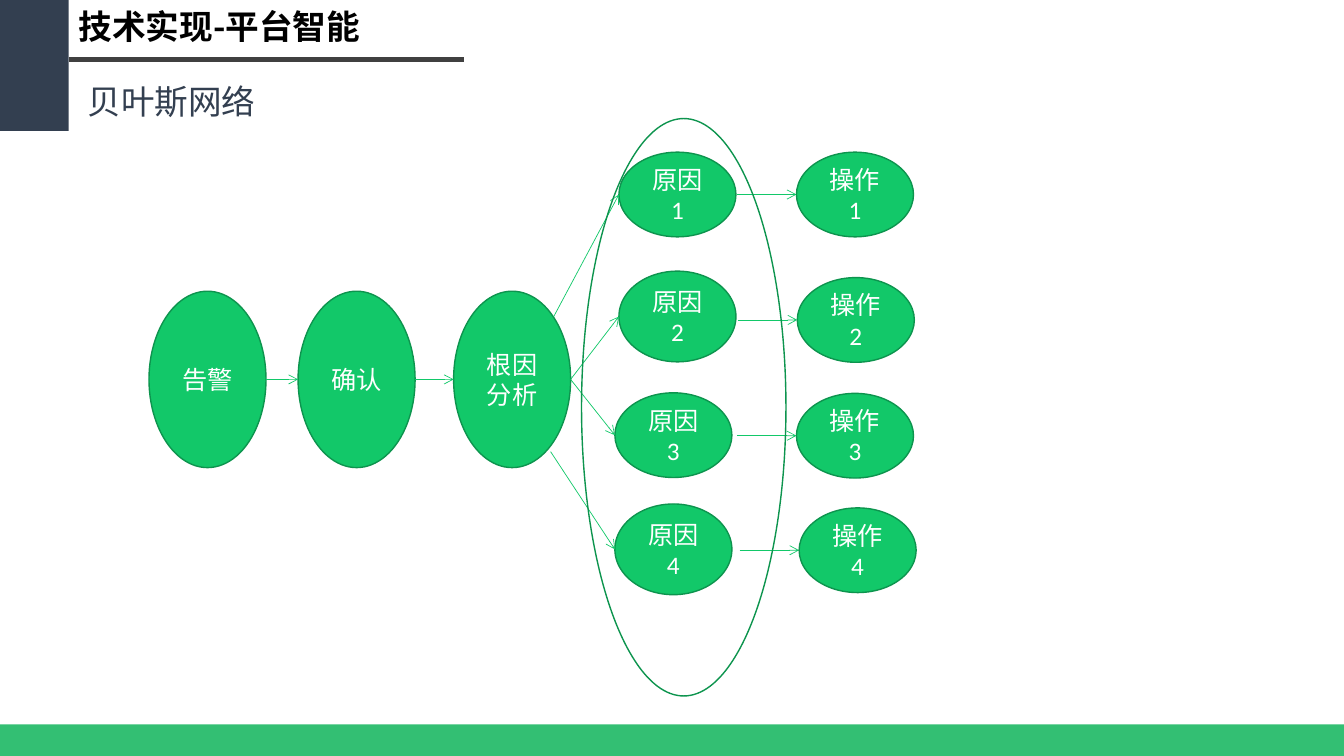
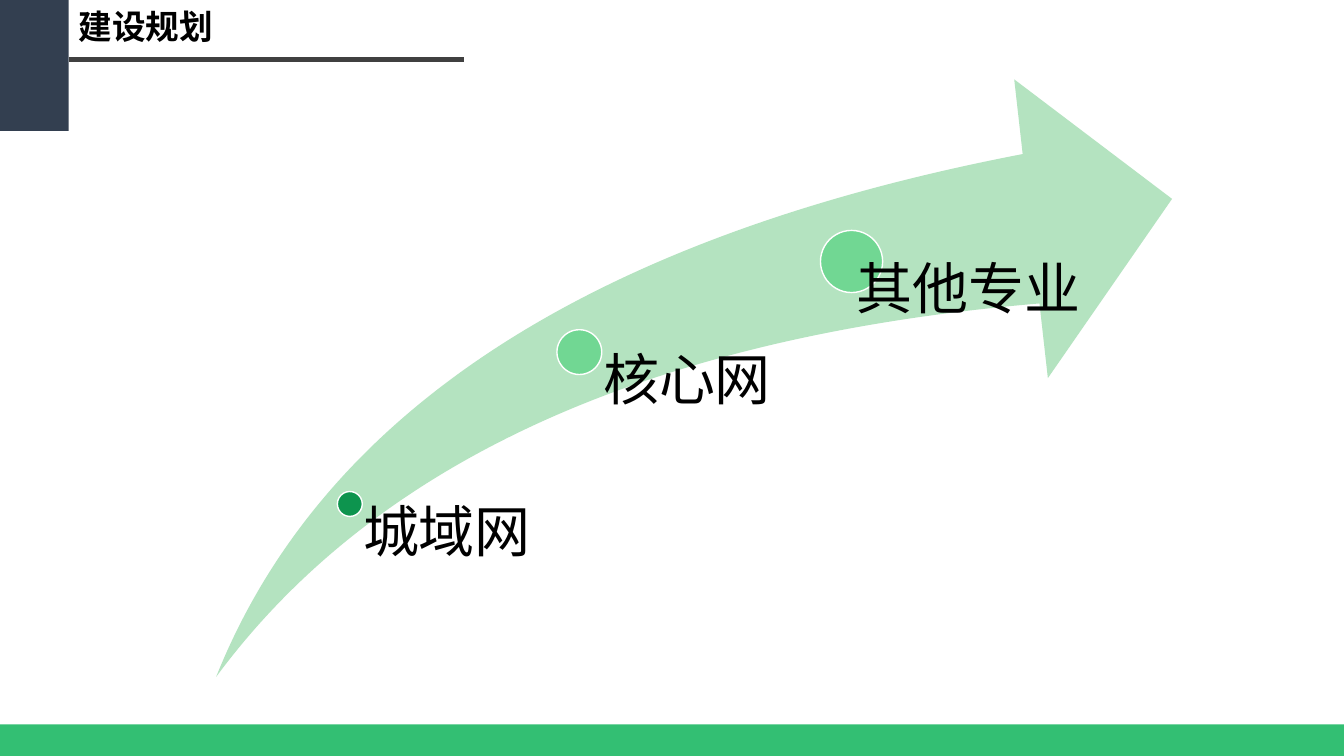
import pptx
import pptx.dml.color
import pptx.enum.shapes
import pptx.enum.text
import pptx.oxml.ns
import pptx.util
from lxml import etree

Pt = pptx.util.Pt
qn = pptx.oxml.ns.qn
SHAPE = pptx.enum.shapes.MSO_SHAPE
ALIGN = pptx.enum.text.PP_ALIGN
ANCHOR = pptx.enum.text.MSO_ANCHOR
AUTO_SIZE = pptx.enum.text.MSO_AUTO_SIZE

PAGE_WIDTH, PAGE_HEIGHT = 960, 540
TITLE_ONLY = 5
COLOURS = {
    "black": "000000", "white": "FFFFFF", "navy": "333F50", "rule": "404040",
    "footer": "00B050", "node": "12C869", "outline": "0D944E",
    "swoosh": "B4E3C0", "dot": "71D793",
}
BODY_FONT = "Calibri"
CHINESE_FONT = "Noto Sans CJK SC"


def colour(name):
    return pptx.dml.color.RGBColor.from_string(COLOURS[name])


class Painter:
    """Holds the deck, its style and the page being drawn."""

    def __init__(self):
        self.deck = pptx.Presentation()
        self.deck.slide_width = Pt(PAGE_WIDTH)
        self.deck.slide_height = Pt(PAGE_HEIGHT)
        self.page = None

    def start_page(self, title, title_width):
        self.page = self.deck.slides.add_slide(self.deck.slide_layouts[TITLE_ONLY])
        self.shape(SHAPE.RECTANGLE, 0, 0, 49, 93.6, fill="navy")
        self.line(49, 42.5, 331.2, 42.5, "rule", 3)
        band = self.shape(SHAPE.RECTANGLE, 0, 517.5, PAGE_WIDTH, 22.5, fill="footer")
        tint = band._element.spPr.find(qn("a:solidFill"))[0]
        etree.SubElement(tint, qn("a:alpha")).set("val", "80000")

        box = self.page.shapes.title
        box.left, box.top, box.width, box.height = map(Pt, (49, 0.7, title_width, 36))
        self.set_text(box, title, 24, "black", font=CHINESE_FONT, bold=True)
        box.text_frame.auto_size = AUTO_SIZE.NONE

    def set_text(self, box, text, size, ink, font=BODY_FONT, bold=False,
                 align=ALIGN.LEFT, anchor=ANCHOR.TOP):
        frame = box.text_frame
        frame.text = text
        frame.word_wrap = True
        frame.vertical_anchor = anchor
        para = frame.paragraphs[0]
        para.alignment = align
        for span in para.runs:
            span.font.size = Pt(size)
            span.font.bold = bold
            span.font.color.rgb = colour(ink)
            span.font.name = font
            east_asian = etree.SubElement(span._r.get_or_add_rPr(), qn("a:ea"))
            east_asian.set("typeface", CHINESE_FONT)

    def shape(self, kind, left, top, width, height, fill=None, outline=None):
        shape = self.page.shapes.add_shape(kind, *map(Pt, (left, top, width, height)))
        shape.shadow.inherit = False
        if fill:
            shape.fill.solid()
            shape.fill.fore_color.rgb = colour(fill)
        else:
            shape.fill.background()
        if outline:
            shape.line.color.rgb = colour(outline)
            shape.line.width = Pt(1)
        else:
            shape.line.fill.background()
        return shape

    def node(self, text, left, top, width, height):
        oval = self.shape(SHAPE.OVAL, left, top, width, height, "node", "outline")
        self.set_text(oval, text, 18, "white", align=ALIGN.CENTER, anchor=ANCHOR.MIDDLE)

    def text(self, text, left, top, width, height, size, ink):
        box = self.page.shapes.add_textbox(*map(Pt, (left, top, width, height)))
        self.set_text(box, text, size, ink)
        return box

    def line(self, x1, y1, x2, y2, ink, weight):
        straight = pptx.enum.shapes.MSO_CONNECTOR.STRAIGHT
        line = self.page.shapes.add_connector(straight, *map(Pt, (x1, y1, x2, y2)))
        line.line.color.rgb = colour(ink)
        line.line.width = Pt(weight)
        etree.SubElement(line._element.spPr, qn("a:effectLst"))
        return line

    def arrow(self, x1, y1, x2, y2):
        line = self.line(x1, y1, x2, y2, "node", 0.5)
        stroke = line._element.spPr.find(qn("a:ln"))
        etree.SubElement(stroke, qn("a:tailEnd")).set("type", "arrow")


def draw_network(painter):
    painter.start_page("技术实现-平台智能", 295)
    painter.text("贝叶斯网络", 55.4, 54, 310, 36, 24, "navy")

    node_width, step_top, step_height = 83.6, 208, 126
    step_middle = step_top + step_height / 2
    steps = [("告警", 106.4), ("确认", 212.9), ("根因分析", 324)]
    for text, left in steps:
        painter.node(text, left, step_top, node_width, step_height)
    for (_, left), (_, next_left) in zip(steps, steps[1:]):
        painter.arrow(left + node_width, step_middle, next_left, step_middle)

    # left, top and height of each cause, then where its arrow starts
    causes = [
        (442.1, 108.7, 60.5, 395.5, 226.2),
        (442.1, 193.7, 64.8, 407.6, step_middle),
        (439.2, 280.6, 60.5, 407.6, step_middle),
        (439.2, 360, 64.8, 393.3, 322.6),
    ]
    for number, (left, top, height, start_x, start_y) in enumerate(causes, 1):
        painter.node(f"原因{number}", left, top, node_width, height)
        painter.arrow(start_x, start_y, left, top + height / 2)

    action_height, arrow_length = 60.5, 42.5
    actions = [(568.9, 108.7), (569.5, 198.3), (568.9, 281), (570.8, 362.8)]
    for number, (left, top) in enumerate(actions, 1):
        middle = top + action_height / 2
        painter.arrow(left - arrow_length, middle, left, middle)
        painter.node(f"操作{number}", left, top, node_width, action_height)

    painter.shape(SHAPE.OVAL, 415.4, 84.7, 146, 412.4, outline="outline")


def draw_plan(painter):
    painter.start_page("建设规划", 225)
    swoosh = painter.shape(SHAPE.SWOOSH_ARROW, 154.4, 56.7, 682.8, 426.8, fill="swoosh")
    swoosh.adjustments[0] = swoosh.adjustments[1] = 0.25

    # name, dot centre, dot size, dot colour, label left, width and inset
    milestones = [
        ("城域网", 249.9, 360, 17.8, "outline", 249.9, 159, 9.4),
        ("核心网", 413.8, 251.5, 32, "dot", 413.8, 164, 17),
        ("其他专业", 608.3, 186.8, 44.4, "dot", 588.3, 204, 23.6),
    ]
    label_bottom = 483.4
    for name, x, y, size, fill, left, width, inset in milestones:
        painter.shape(SHAPE.OVAL, x - size / 2, y - size / 2, size, size, fill, "white")
        label = painter.text(name, left, y, width, label_bottom - y, 40, "black")
        frame = label.text_frame
        frame.margin_left = Pt(inset)
        frame.margin_top = frame.margin_right = frame.margin_bottom = 0
        frame.paragraphs[0].line_spacing = 0.9


def main():
    painter = Painter()
    draw_network(painter)
    draw_plan(painter)
    painter.deck.save("out.pptx")


if __name__ == "__main__":
    main()
